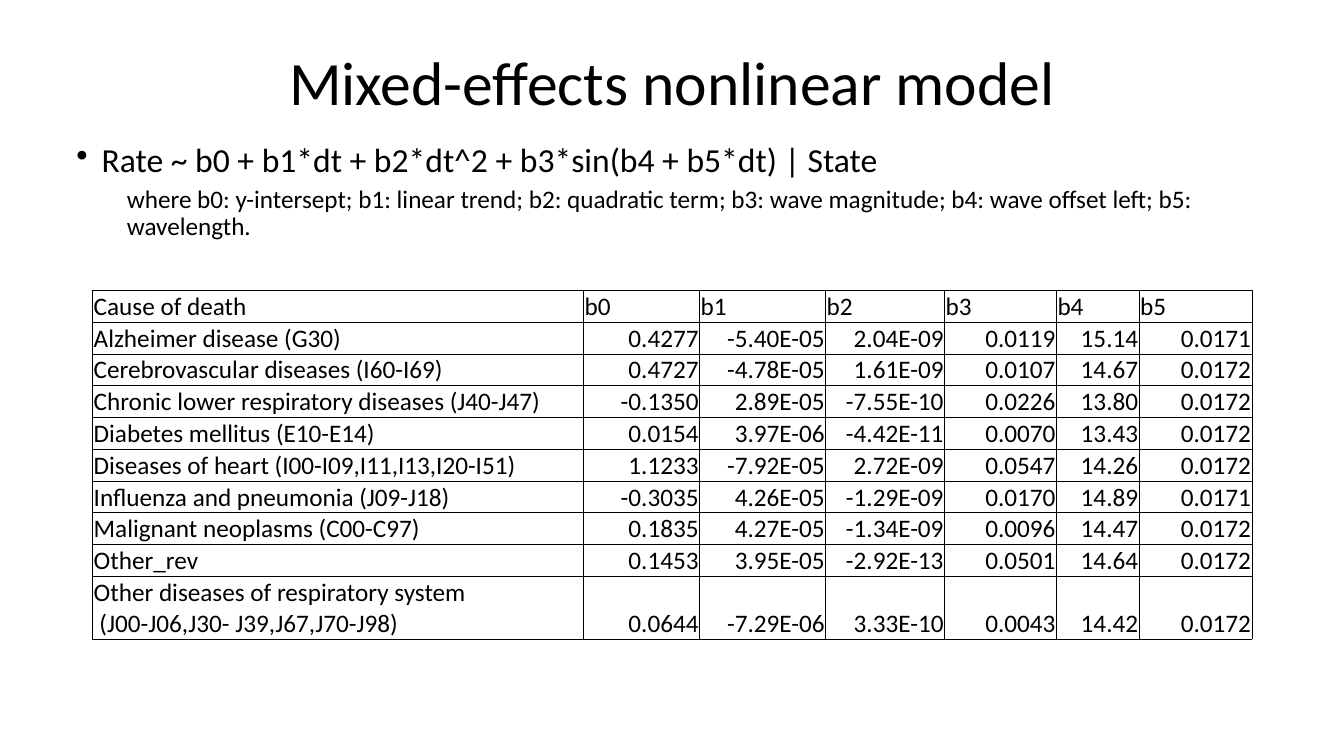
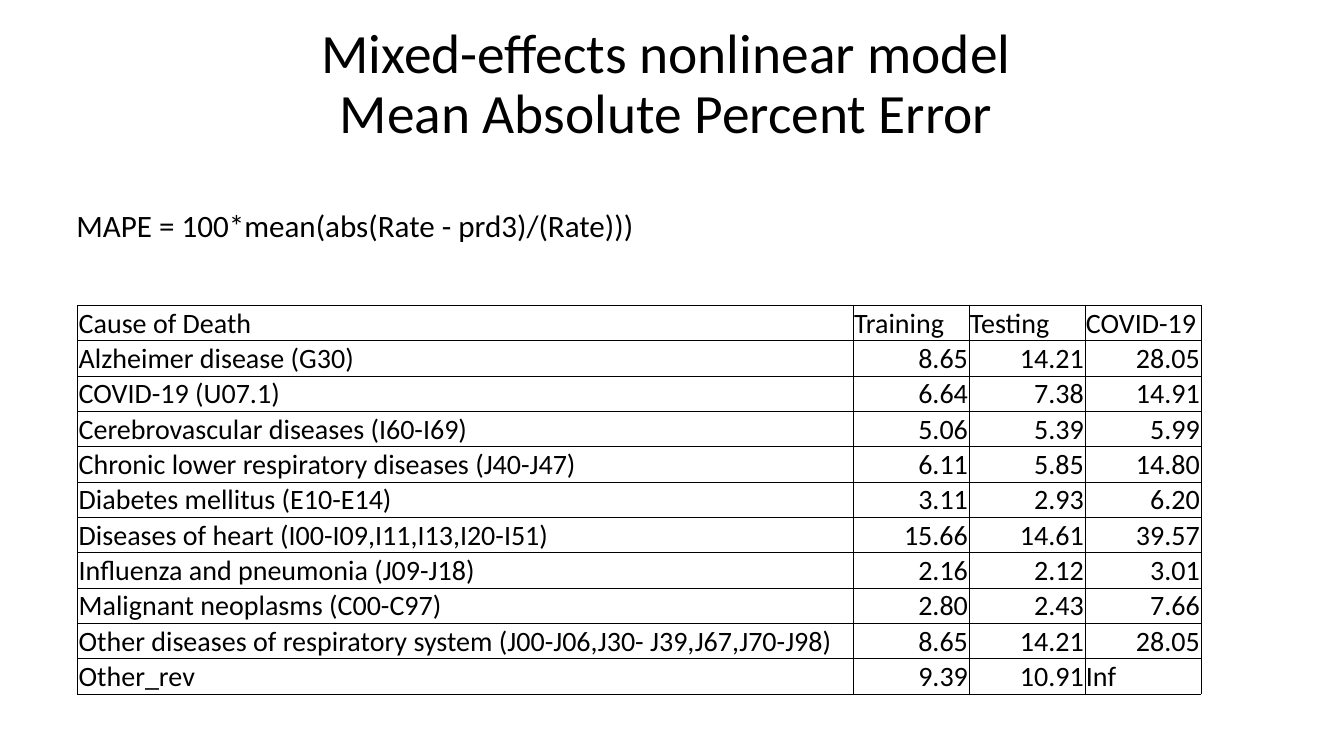
from dataclasses import dataclass

from lxml import etree
from pptx import Presentation
from pptx.dml.color import RGBColor
from pptx.enum.text import MSO_ANCHOR, MSO_AUTO_SIZE, PP_ALIGN
from pptx.oxml.ns import qn
from pptx.util import Inches, Pt

LEFT, CENTER, RIGHT = PP_ALIGN.LEFT, PP_ALIGN.CENTER, PP_ALIGN.RIGHT
MIDDLE, BOTTOM = MSO_ANCHOR.MIDDLE, MSO_ANCHOR.BOTTOM
NO_FIT = MSO_AUTO_SIZE.NONE
TITLE_ONLY = 5


@dataclass(frozen=True)
class Theme:
    font: str = "Calibri"
    ink: str = "000000"
    formula: float = 24
    note: float = 18
    rule: float = 0.5
    cell_inset: float = 0.01


THEME = Theme()

deck = Presentation()
deck.slide_width, deck.slide_height = Inches(13.33), Inches(7.5)

# The slide is a grid of 100 columns by 100 rows
COLUMN, ROW = deck.slide_width / 100, deck.slide_height / 100
TITLE_AREA = (6.9, 5.33, 86.27, 12)


def place(left, top, width, height):
    """Turn grid columns and rows into slide lengths."""
    return (round(left * COLUMN), round(top * ROW),
            round(width * COLUMN), round(height * ROW))


def write(frame, text, size, align=LEFT, line=1.0, before=0, level=0,
          margin=0, indent=0, bullet=None):
    """Add a paragraph for each line of text; a vertical tab breaks a line."""
    for content in text.split("\n"):
        paragraph = frame.paragraphs[-1]
        if paragraph.text:
            paragraph = frame.add_paragraph()
        paragraph.text = content
        paragraph.alignment, paragraph.level = align, level
        paragraph.line_spacing, paragraph.space_before = line, Pt(before)
        for run in paragraph.runs:
            run.font.name, run.font.size = THEME.font, Pt(size)
            run.font.color.rgb = RGBColor.from_string(THEME.ink)
        for line_break in paragraph._p.findall(qn("a:br")):
            etree.SubElement(line_break, qn("a:rPr"), sz=str(round(size * 100)))
        properties = paragraph._p.get_or_add_pPr()
        properties.set("marL", str(Inches(margin)))
        properties.set("indent", str(Inches(indent)))
        if bullet:
            etree.SubElement(properties, qn("a:buChar"), char=bullet)


# Content: coefficients of the model
coefficients = [
    ("Cause of death", "b0", "b1", "b2", "b3", "b4", "b5"),
    ("Alzheimer disease (G30)", "0.4277", "-5.40E-05", "2.04E-09", "0.0119", "15.14", "0.0171"),
    ("Cerebrovascular diseases (I60-I69)", "0.4727", "-4.78E-05", "1.61E-09", "0.0107", "14.67", "0.0172"),
    ("Chronic lower respiratory diseases (J40-J47)", "-0.1350", "2.89E-05", "-7.55E-10", "0.0226", "13.80", "0.0172"),
    ("Diabetes mellitus (E10-E14)", "0.0154", "3.97E-06", "-4.42E-11", "0.0070", "13.43", "0.0172"),
    ("Diseases of heart (I00-I09,I11,I13,I20-I51)", "1.1233", "-7.92E-05", "2.72E-09", "0.0547", "14.26", "0.0172"),
    ("Influenza and pneumonia (J09-J18)", "-0.3035", "4.26E-05", "-1.29E-09", "0.0170", "14.89", "0.0171"),
    ("Malignant neoplasms (C00-C97)", "0.1835", "4.27E-05", "-1.34E-09", "0.0096", "14.47", "0.0172"),
    ("Other_rev", "0.1453", "3.95E-05", "-2.92E-13", "0.0501", "14.64", "0.0172"),
    ("Other diseases of respiratory system\n (J00-J06,J30- J39,J67,J70-J98)",
     "0.0644", "-7.29E-06", "3.33E-10", "0.0043", "14.42", "0.0172"),
]

# Content: percent errors of the model
errors = [
    ("Cause of Death", "Training", "Testing", "COVID-19"),
    ("Alzheimer disease (G30)", "8.65", "14.21", "28.05"),
    ("COVID-19 (U07.1)", "6.64", "7.38", "14.91"),
    ("Cerebrovascular diseases (I60-I69)", "5.06", "5.39", "5.99"),
    ("Chronic lower respiratory diseases (J40-J47)", "6.11", "5.85", "14.80"),
    ("Diabetes mellitus (E10-E14)", "3.11", "2.93", "6.20"),
    ("Diseases of heart (I00-I09,I11,I13,I20-I51)", "15.66", "14.61", "39.57"),
    ("Influenza and pneumonia (J09-J18)", "2.16", "2.12", "3.01"),
    ("Malignant neoplasms (C00-C97)", "2.80", "2.43", "7.66"),
    ("Other diseases of respiratory system (J00-J06,J30- J39,J67,J70-J98)", "8.65", "14.21", "28.05"),
    ("Other_rev", "9.39", "10.91", "Inf"),
]

pages = [
    dict(
        title="Mixed-effects nonlinear model", title_size=44,
        body_area=(4.95, 18.27, 88.22, 16.67),
        body=[
            ("Rate ~ b0 + b1*dt + b2*dt^2 + b3*sin(b4 + b5*dt) | State",
             dict(size=THEME.formula, line=0.9, before=10,
                  margin=0.25, indent=-0.25, bullet="•")),
            ("where b0: y-intersept; b1: linear trend; b2: quadratic term; "
             "b3: wave magnitude; b4: wave offset left; b5: wavelength.",
             dict(size=THEME.note, line=0.9, before=5, level=1, margin=0.5)),
        ],
        data=coefficients, data_size=18, corner=(6.9, 38.4), row_height=4.2,
        widths=(36.53, 8.63, 9.38, 8.85, 8.33, 6.15, 8.4),
    ),
    dict(
        title="Mixed-effects nonlinear model \vMean Absolute Percent Error ",
        title_size=39.6,
        body_area=(4.95, 27.6, 88.22, 5.6),
        body=[("MAPE = 100*mean(abs(Rate - prd3)/(Rate)))",
               dict(size=22.2, line=0.8, before=10))],
        data=errors, data_size=20, corner=(5.78, 40.4), row_height=4.65,
        widths=(57.69, 8.63, 8.63, 8.63),
    ),
]

for page in pages:
    slide = deck.slides.add_slide(deck.slide_layouts[TITLE_ONLY])

    # Title
    title = slide.shapes.title
    title.left, title.top, title.width, title.height = place(*TITLE_AREA)
    heading = title.text_frame
    heading.auto_size, heading.vertical_anchor = NO_FIT, MIDDLE
    write(heading, page["title"], page["title_size"], align=CENTER, line=0.9)

    # Formula and its explanation
    formula = slide.shapes.add_textbox(*place(*page["body_area"])).text_frame
    formula.word_wrap, formula.auto_size = True, NO_FIT
    for text, text_format in page["body"]:
        write(formula, text, **text_format)

    # Results by cause of death
    data, widths = page["data"], page["widths"]
    area = place(*page["corner"], sum(widths), page["row_height"] * len(data))
    results = slide.shapes.add_table(len(data), len(widths), *area).table
    results.first_row = results.horz_banding = False
    for column, width in zip(results.columns, widths):
        column.width = round(width * COLUMN)
    for row_index, record in enumerate(data):
        results.rows[row_index].height = round(page["row_height"] * ROW)
        for column_index, value in enumerate(record):
            cell = results.cell(row_index, column_index)
            cell.margin_left = cell.margin_right = cell.margin_top = Inches(THEME.cell_inset)
            cell.margin_bottom = 0
            cell.vertical_anchor = BOTTOM
            is_number = row_index > 0 and column_index > 0 and value != "Inf"
            write(cell.text_frame, value, page["data_size"],
                  align=RIGHT if is_number else LEFT)
            # Thin rule on each side
            cell_properties = cell._tc.get_or_add_tcPr()
            for side in ("a:lnL", "a:lnR", "a:lnT", "a:lnB"):
                edge = etree.SubElement(cell_properties, qn(side), w=str(Pt(THEME.rule)))
                ink = etree.SubElement(edge, qn("a:solidFill"))
                etree.SubElement(ink, qn("a:srgbClr"), val=THEME.ink)
            cell.fill.background()

deck.save("out.pptx")
